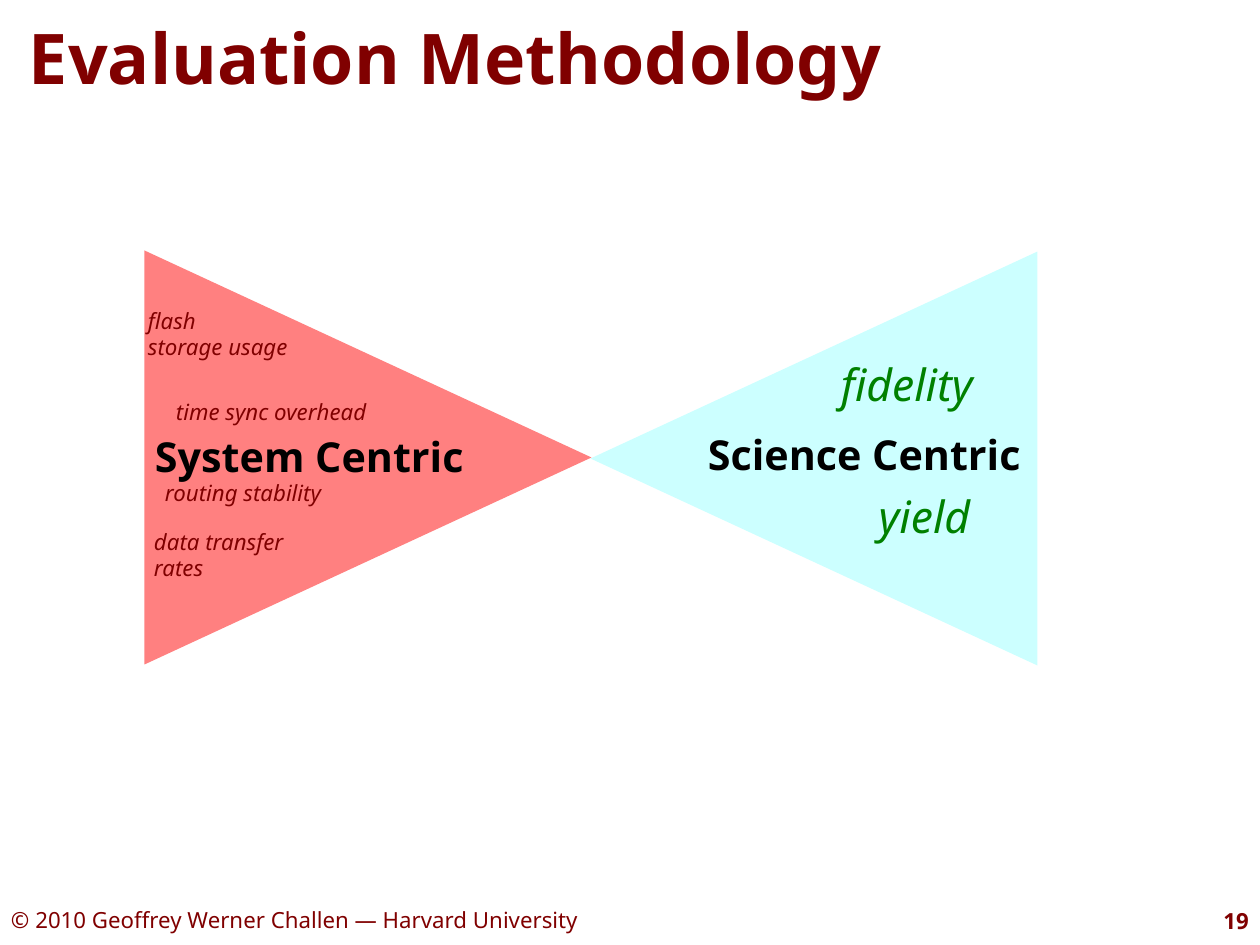
from pptx import Presentation
from pptx.dml.color import RGBColor
from pptx.enum.shapes import MSO_SHAPE
from pptx.enum.text import MSO_ANCHOR, MSO_AUTO_SIZE, PP_ALIGN
from pptx.util import Pt

PX = 8000
SIZE = (1260, 945)
FONT = "Noto Sans"
MAROON, GREEN, BLACK = "800000", "008000", "000000"

TITLE = "Evaluation Methodology"
TRIANGLES = [
    ((161, 234), 90, "FF8080"),
    ((607, 235), 270, "CCFFFF"),
]
TRIANGLE_SIZE = (414, 447)

HEADING = dict(size=26, color=BLACK, bold=True)
METRIC = dict(size=14, color=MAROON, italic=True)
GOAL = dict(size=28, color=GREEN, italic=True)
FOOTER = dict(size=14, color=MAROON, anchor=MSO_ANCHOR.BOTTOM, insets=(11, 6, 11, 11))
LABELS = [
    (["System Centric"], (144, 425, 447, 67), HEADING),
    (["routing stability"], (154, 473, 195, 41), METRIC),
    (["data transfer", "rates"], (143, 522, 167, 72), METRIC),
    (["flash", "storage usage"], (137, 301, 255, 72), METRIC),
    (["time sync overhead"], (165, 392, 319, 41), METRIC),
    (["Science Centric"], (585, 423, 447, 67), HEADING | dict(align=PP_ALIGN.RIGHT)),
    (["fidelity"], (830, 351, 181, 72), GOAL),
    (["yield"], (834, 483, 181, 72), GOAL | dict(align=PP_ALIGN.CENTER)),
    (["© 2010 Geoffrey Werner Challen — Harvard University"], (0, 897, 608, 47), FOOTER),
    (["19"], (1114, 886, 146, 59), FOOTER | dict(bold=True, align=PP_ALIGN.RIGHT)),
]


def px(*lengths):
    """Turn pixel lengths into EMU."""
    return [length * PX for length in lengths]


def rgb(value):
    """Turn a hex string into a colour."""
    return RGBColor.from_string(value)


def write(box, lines, size, color, bold=False, italic=False,
          align=PP_ALIGN.LEFT, anchor=MSO_ANCHOR.TOP, insets=(11, 6, 11, 6)):
    """Fill a box with one formatted paragraph per line."""
    frame = box.text_frame
    frame.word_wrap = True
    frame.auto_size = MSO_AUTO_SIZE.NONE
    frame.vertical_anchor = anchor
    (frame.margin_left, frame.margin_top,
     frame.margin_right, frame.margin_bottom) = px(*insets)
    frame.text = "\n".join(lines)
    for paragraph in frame.paragraphs:
        paragraph.alignment = align
        font = paragraph.runs[0].font
        font.name, font.size = FONT, Pt(size)
        font.bold, font.italic = bold, italic
        font.color.rgb = rgb(color)


def add_triangle(page, corner, rotation, color):
    """Draw one triangle pointing towards the middle."""
    shape = page.shapes.add_shape(
        MSO_SHAPE.ISOSCELES_TRIANGLE, *px(*corner, *TRIANGLE_SIZE))
    shape.rotation = rotation
    shape.shadow.inherit = False
    shape.fill.solid()
    shape.fill.fore_color.rgb = rgb(color)
    shape.line.fill.background()


def main():
    """Build the slide and save it."""
    deck = Presentation()
    deck.slide_width, deck.slide_height = px(*SIZE)
    page = deck.slides.add_slide(deck.slide_layouts[5])
    title = page.shapes.title
    title.left, title.top, title.width, title.height = px(0, 0, SIZE[0], 114)
    write(title, [TITLE], size=44, color=MAROON, bold=True,
          anchor=MSO_ANCHOR.MIDDLE, insets=(29, 0, 0, 0))
    for triangle in TRIANGLES:
        add_triangle(page, *triangle)
    for lines, place, style in LABELS:
        write(page.shapes.add_textbox(*px(*place)), lines, **style)
    deck.save("out.pptx")


if __name__ == "__main__":
    main()
